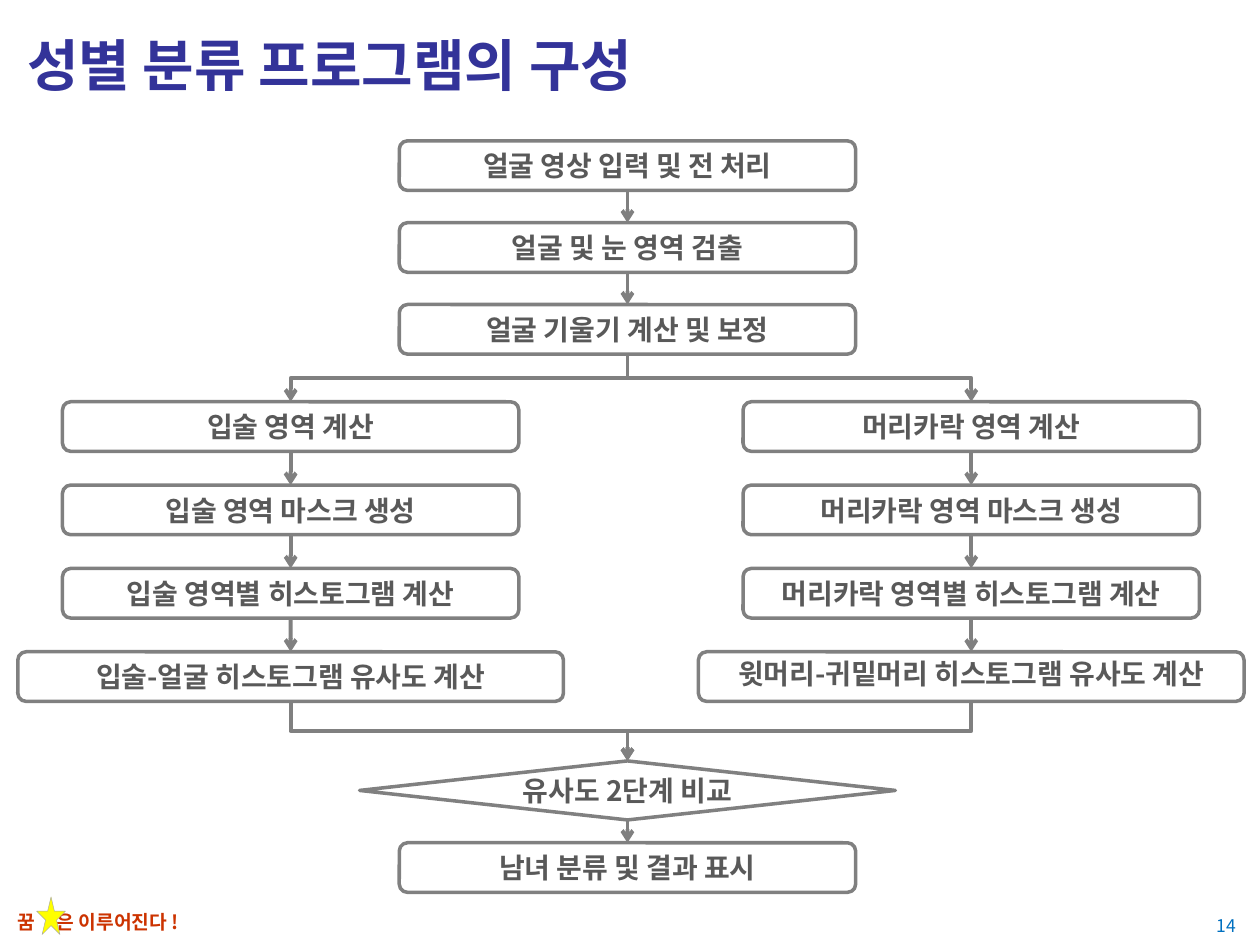
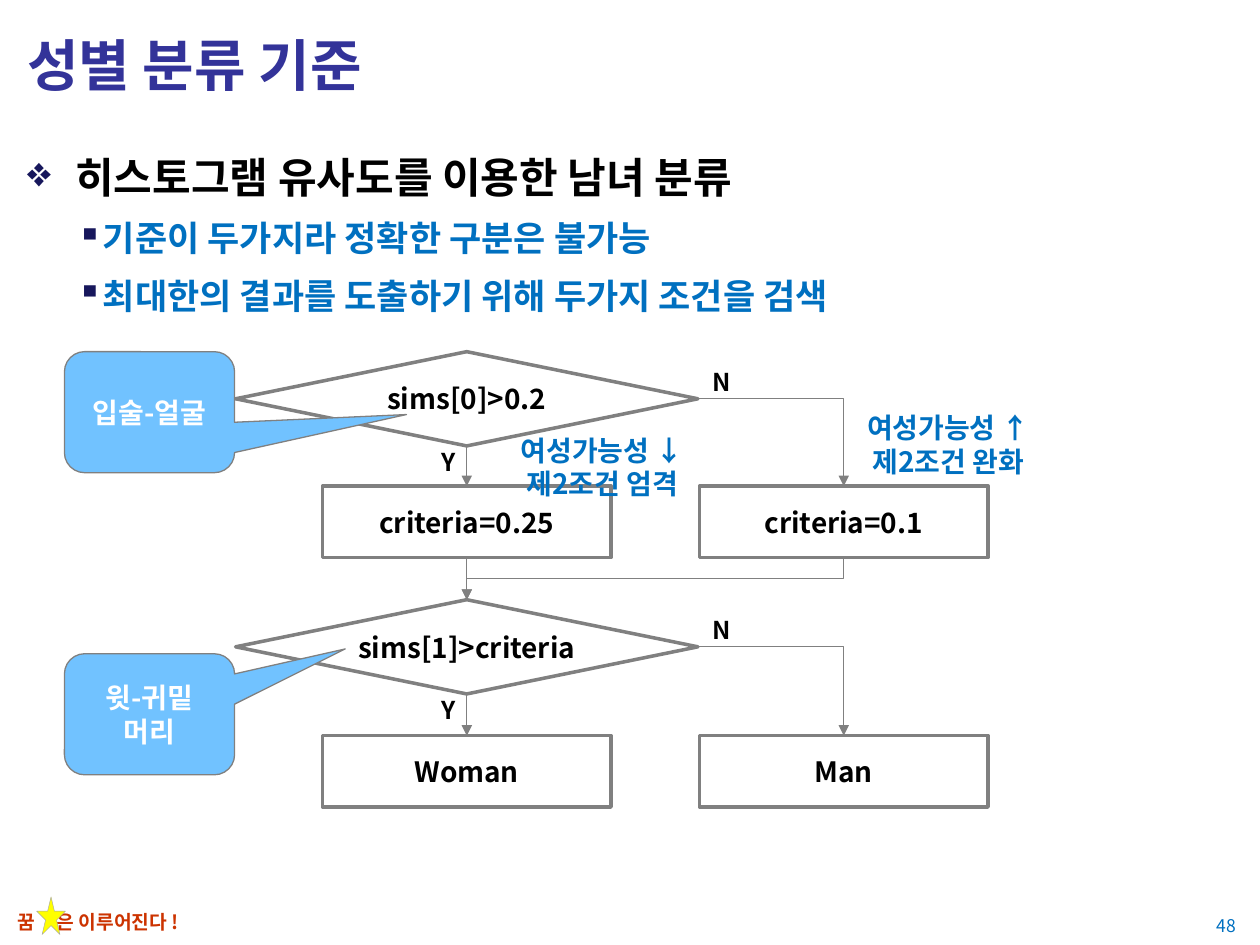
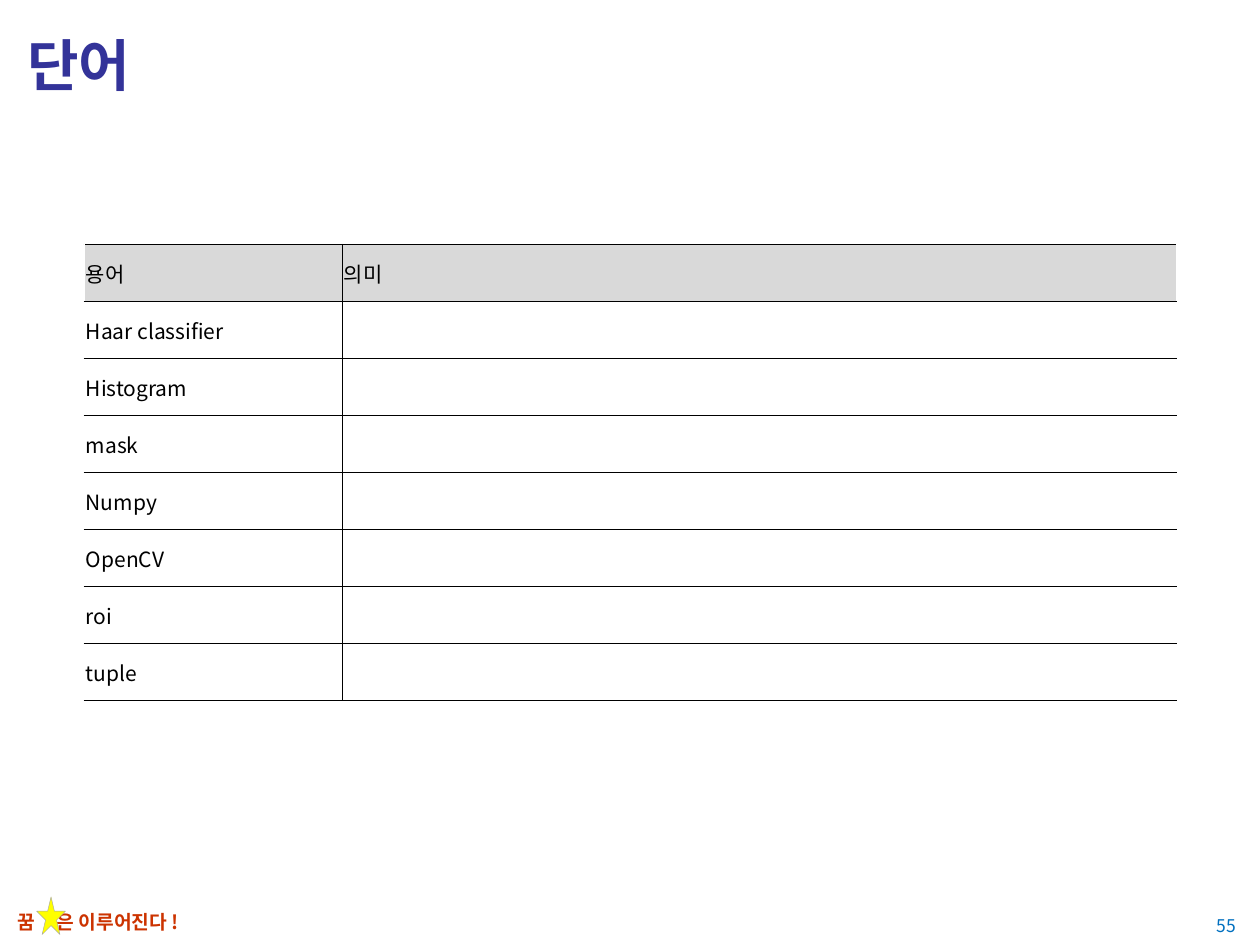
"""Build three slides on a gender classification program."""
import collections

import lxml.etree
import pptx
import pptx.dml.color
import pptx.enum.shapes
import pptx.enum.text
import pptx.oxml.ns
import pptx.util

Cm = pptx.util.Cm
Pt = pptx.util.Pt
SHAPE = pptx.enum.shapes.MSO_SHAPE
CONNECTOR = pptx.enum.shapes.MSO_CONNECTOR
ALIGN = pptx.enum.text.PP_ALIGN
ANCHOR = pptx.enum.text.MSO_ANCHOR
qn = pptx.oxml.ns.qn

Box = collections.namedtuple("Box", "left top width height")

FONT = "Noto Sans CJK KR"
COLORS = {
    "title": "333399",
    "motto": "CC3300",
    "star": "FFFF00",
    "star_edge": "A6A6A6",
    "accent": "0070C0",
    "bullet": "17175C",
    "edge": "808080",
    "step": "595959",
    "callout": "71C2FF",
    "header": "D9D9D9",
    "white": "FFFFFF",
    "black": "000000",
}
TOP, BOTTOM, RIGHT = 0, 2, 3


def rgb(name):
    """Return the named colour."""
    return pptx.dml.color.RGBColor.from_string(COLORS[name])


def place(box):
    """Return the lengths of a box given in centimetres."""
    return [Cm(length) for length in box]


def inside(box, left, top, width, height):
    """Return a box whose position is relative to another box."""
    return Box(box.left + left, box.top + top, width, height)


def add_child(parent, tag, **attributes):
    """Append an XML element with the given attributes."""
    return lxml.etree.SubElement(parent, qn(tag), attributes)


def add_run(paragraph, text, size, color, bold=True):
    """Append one run in the deck's font."""
    run = paragraph.add_run()
    run.text = text
    run.font.size = Pt(size)
    run.font.bold = bold
    run.font.name = FONT
    run.font.color.rgb = rgb(color)
    add_child(run._r.get_or_add_rPr(), "a:ea", typeface=FONT)


def write_lines(frame, lines, size, color, bold=True, align=ALIGN.LEFT):
    """Write each line as a paragraph of the frame."""
    for index, line in enumerate(lines):
        paragraph = frame.add_paragraph() if index else frame.paragraphs[0]
        paragraph.alignment = align
        add_run(paragraph, line, size, color, bold)


def add_text(slide, box, lines, size, color, bold=True, align=ALIGN.LEFT,
             anchor=ANCHOR.TOP, wrap=True):
    """Add a text box and return its frame."""
    frame = slide.shapes.add_textbox(*place(box)).text_frame
    frame.word_wrap = wrap
    frame.vertical_anchor = anchor
    write_lines(frame, lines, size, color, bold, align)
    return frame


def add_figure(slide, kind, box, lines=(), color="black", fill=None,
               edge="edge", weight=2, side_margin=0.1):
    """Add a preset shape with centred text."""
    figure = slide.shapes.add_shape(kind, *place(box))
    figure.shadow.inherit = False
    if fill:
        figure.fill.solid()
        figure.fill.fore_color.rgb = rgb(fill)
    else:
        figure.fill.background()
    figure.line.color.rgb = rgb(edge)
    figure.line.width = Pt(weight)
    frame = figure.text_frame
    frame.word_wrap = True
    frame.vertical_anchor = ANCHOR.MIDDLE
    frame.margin_left = frame.margin_right = Cm(side_margin)
    write_lines(frame, lines, 16, color, align=ALIGN.CENTER)
    return figure


def add_arrow(slide, kind, source, target, weight, head, start=BOTTOM):
    """Join two shapes, ending at the top of the target."""
    arrow = slide.shapes.add_connector(kind, 0, 0, 0, 0)
    arrow.begin_connect(source, start)
    arrow.end_connect(target, TOP)
    arrow.line.color.rgb = rgb("edge")
    arrow.line.width = Pt(weight)
    properties = arrow._element.spPr
    add_child(properties.find(qn("a:ln")), "a:tailEnd", type=head)
    add_child(properties, "a:effectLst")
    return arrow


def add_straight(slide, source, target, weight, head):
    """Join two shapes with a straight arrow."""
    add_arrow(slide, CONNECTOR.STRAIGHT, source, target, weight, head)


def add_elbow(slide, source, target, weight, head):
    """Join two shapes with an arrow that runs down, across and down."""
    arrow = add_arrow(slide, CONNECTOR.ELBOW, source, target, weight, head)
    start_x, start_y = arrow.begin_x, arrow.begin_y
    end_x, end_y = arrow.end_x, arrow.end_y
    drop, reach = end_y - start_y, abs(end_x - start_x)
    arrow.left = (start_x + end_x - drop) // 2
    arrow.top = (start_y + end_y - reach) // 2
    arrow.width, arrow.height = drop, reach
    rightward = end_x > start_x
    transform = arrow._element.spPr.find(qn("a:xfrm"))
    transform.set("rot", str((270 if rightward else 90) * 60000))
    transform.set("flipH", "1" if rightward else "0")
    transform.set("flipV", "0")


def add_corner(slide, source, target, weight, head):
    """Join two shapes with an arrow that runs right and then down."""
    arrow = add_arrow(slide, CONNECTOR.ELBOW, source, target, weight, head, RIGHT)
    arrow._element.spPr.find(qn("a:prstGeom")).set("prst", "bentConnector2")


def add_footer(slide, box, number):
    """Add the motto with its star and the slide number."""
    motto = add_text(slide, inside(box, 0, 0.15, 13.28, 0.71), [], 11, "motto")
    paragraph = motto.paragraphs[0]
    tabs = add_child(paragraph._p.get_or_add_pPr(), "a:tabLst")
    add_child(tabs, "a:tab", pos=str(Cm(0.79)), algn="l")
    add_run(paragraph, "꿈\t은 이루어진다 !", 11, "motto")
    add_figure(slide, SHAPE.STAR_5_POINT, inside(box, 0.64, 0, 0.58, 0.76),
               fill="star", edge="star_edge", weight=0.25)
    add_text(slide, inside(box, box.width - 1.47, 0.13, 1.47, 0.89), [str(number)],
             10, "accent", False, ALIGN.RIGHT, ANCHOR.MIDDLE)


def start_slide(deck, title, number):
    """Add a blank slide with the shared title and footer."""
    slide = deck.slides.add_slide(deck.slide_layouts[6])
    add_footer(slide, Box(0.1, 18.08, 25.07, 0.97), number)
    add_text(slide, Box(0.3, 0.25, 24.8, 2.08), [title], 32, "title",
             anchor=ANCHOR.MIDDLE)
    return slide


def draw_program_flow(slide, box):
    """Draw the common steps, the two branches and the final comparison."""
    height, normal, wide = 1, 9.2, 11
    middle = 12.29

    def add_steps(center, top, gap, labels, last_width=normal):
        """Stack the steps of one column and join them."""
        steps = []
        for index, label in enumerate(labels):
            width = last_width if index == len(labels) - 1 else normal
            steps.append(add_figure(
                slide, SHAPE.FLOWCHART_ALTERNATE_PROCESS,
                inside(box, center - width / 2, top + index * gap, width, height),
                [label], "step"))
        for source, target in zip(steps, steps[1:]):
            add_straight(slide, source, target, 2.25, "arrow")
        return steps

    common = add_steps(middle, 0, 1.65, [
        "얼굴 영상 입력 및 전 처리", "얼굴 및 눈 영역 검출", "얼굴 기울기 계산 및 보정"])
    lips = add_steps(wide / 2, 5.26, 1.68, [
        "입술 영역 계산", "입술 영역 마스크 생성", "입술 영역별 히스토그램 계산",
        "입술-얼굴 히스토그램 유사도 계산"], wide)
    hair = add_steps(box.width - wide / 2, 5.26, 1.68, [
        "머리카락 영역 계산", "머리카락 영역 마스크 생성",
        "머리카락 영역별 히스토그램 계산", "윗머리-귀밑머리 히스토그램 유사도 계산"], wide)
    hair[-1].text_frame.paragraphs[0].line_spacing = 0.8
    comparison = add_figure(
        slide, SHAPE.FLOWCHART_DECISION,
        inside(box, middle - 5.4, 12.5, 10.8, 1.19), ["유사도 2단계 비교"], "step",
        side_margin=0)
    result = add_steps(middle, box.height - height, 0, ["남녀 분류 및 결과 표시"])
    for branch in (lips, hair):
        add_elbow(slide, common[-1], branch[0], 2.25, "arrow")
        add_elbow(slide, branch[-1], comparison, 2.25, "arrow")
    add_straight(slide, comparison, result[0], 2.25, "arrow")


def write_outline(slide, box, heading, points):
    """Write a bulleted heading and its points."""
    frame = add_text(slide, box, [heading], 24, "black")
    for point in points:
        paragraph = frame.add_paragraph()
        paragraph.level = 1
        add_run(paragraph, point, 20, "accent")
    for paragraph in frame.paragraphs:
        mark, margin, hanging = ("▪", 1.5, 0.5) if paragraph.level else ("❖", 0.97, 0.97)
        properties = paragraph._p.get_or_add_pPr()
        properties.set("marL", str(Cm(margin)))
        properties.set("indent", str(-Cm(hanging)))
        add_child(add_child(properties, "a:buClr"), "a:srgbClr", val=COLORS["bullet"])
        add_child(properties, "a:buChar", char=mark)
        paragraph.line_spacing = 1.2
        if paragraph.level:
            paragraph.space_before = Pt(4)


def draw_criteria(slide, box):
    """Draw the two decisions with their outcomes, callouts and notes."""
    yes_left, no_left = 5.2, 12.8
    stages = [
        (0, 2.71, "sims[0]>0.2", "criteria=0.25", "criteria=0.1"),
        (5, 7.74, "sims[1]>criteria", "Woman", "Man"),
    ]
    drawn = []
    for decision_top, outcome_top, test, yes, no in stages:
        decision = add_figure(slide, SHAPE.FLOWCHART_DECISION,
                              inside(box, 3.45, decision_top, 9.32, 1.9), [test],
                              side_margin=0)
        accepted, rejected = [
            add_figure(slide, SHAPE.RECTANGLE,
                       inside(box, left, outcome_top, 5.82, 1.44), [label],
                       side_margin=0)
            for left, label in ((yes_left, yes), (no_left, no))]
        add_straight(slide, decision, accepted, 0.75, "triangle")
        add_corner(slide, decision, rejected, 0.75, "triangle")
        for left, drop, answer in ((7.36, 1.79, "Y"), (12.82, 0.18, "N")):
            add_text(slide, inside(box, left, decision_top + drop, 0.85, 0.86),
                     [answer], 14, "black", wrap=False)
        drawn.append((decision, accepted, rejected))
    (_, strict, relaxed), (second_test, _, _) = drawn
    add_straight(slide, strict, second_test, 0.75, "triangle")
    add_elbow(slide, relaxed, second_test, 0.75, "triangle")

    for top, lines, tip in ((0, ["입술-얼굴"], (1.51, 0.02)),
                            (6.09, ["윗-귀밑", "머리"], (1.15, -0.54))):
        callout = add_figure(slide, SHAPE.ROUNDED_RECTANGULAR_CALLOUT,
                             inside(box, 0, top, 3.43, 2.44), lines, "white",
                             fill="callout", weight=0.75)
        callout.adjustments[0], callout.adjustments[1] = tip
    for left, top, lines in ((8.89, 1.52, ["여성가능성 ↓", "제2조건 엄격"]),
                             (15.87, 1.06, ["여성가능성 ↑", "제2조건 완화"])):
        add_text(slide, inside(box, left, top, 3.9, 1.63), lines, 16, "accent",
                 align=ALIGN.CENTER, wrap=False)


def draw_borders(cell, **sides):
    """Draw the named sides of a cell in the given colours."""
    properties = cell._tc.get_or_add_tcPr()
    for side in "LRTB":
        line = add_child(properties, f"a:ln{side}", w=str(Pt(1)))
        fill = add_child(line, "a:solidFill")
        add_child(fill, "a:srgbClr", val=COLORS[sides.get(side, "black")])


def draw_terms(slide, box, terms):
    """Draw the table of terms with an empty column for meanings."""
    rows = [("용어", "의미")] + [(term, "") for term in terms]
    table = slide.shapes.add_table(len(rows), 2, *place(box)).table
    table.columns[0].width = Cm(5.2)
    table.columns[1].width = Cm(box.width - 5.2)
    for row_index, row in enumerate(rows):
        table.rows[row_index].height = Cm(box.height / len(rows))
        for column, text in enumerate(row):
            cell = table.cell(row_index, column)
            draw_borders(cell, **({"R": "white"} if column else {"L": "white"}))
            cell.fill.solid()
            cell.fill.fore_color.rgb = rgb("white" if row_index else "header")
            cell.vertical_anchor = ANCHOR.MIDDLE
            cell.margin_left = cell.margin_right = cell.margin_top = Cm(0.03)
            cell.margin_bottom = 0
            if text:
                write_lines(cell.text_frame, [text], 12, "black", False)


def main():
    """Build and save the deck."""
    deck = pptx.Presentation()
    deck.slide_width, deck.slide_height = Cm(25.4), Cm(19.05)

    program = start_slide(deck, "성별 분류 프로그램의 구성", 14)
    draw_program_flow(program, Box(0.36, 2.84, 24.72, 15.15))

    criteria = start_slide(deck, "성별 분류 기준", 48)
    write_outline(criteria, Box(0.3, 2.72, 24.87, 15.5),
                  "히스토그램 유사도를 이용한 남녀 분류",
                  ["기준이 두가지라 정확한 구분은 불가능",
                   "최대한의 결과를 도출하기 위해 두가지 조건을 검색"])
    draw_criteria(criteria, Box(1.3, 7.09, 19.78, 9.19))

    words = start_slide(deck, "단어", 55)
    draw_terms(words, Box(1.7, 4.93, 22.02, 9.2),
               ["Haar classifier", "Histogram", "mask", "Numpy", "OpenCV", "roi",
                "tuple"])
    deck.save("out.pptx")


if __name__ == "__main__":
    main()
